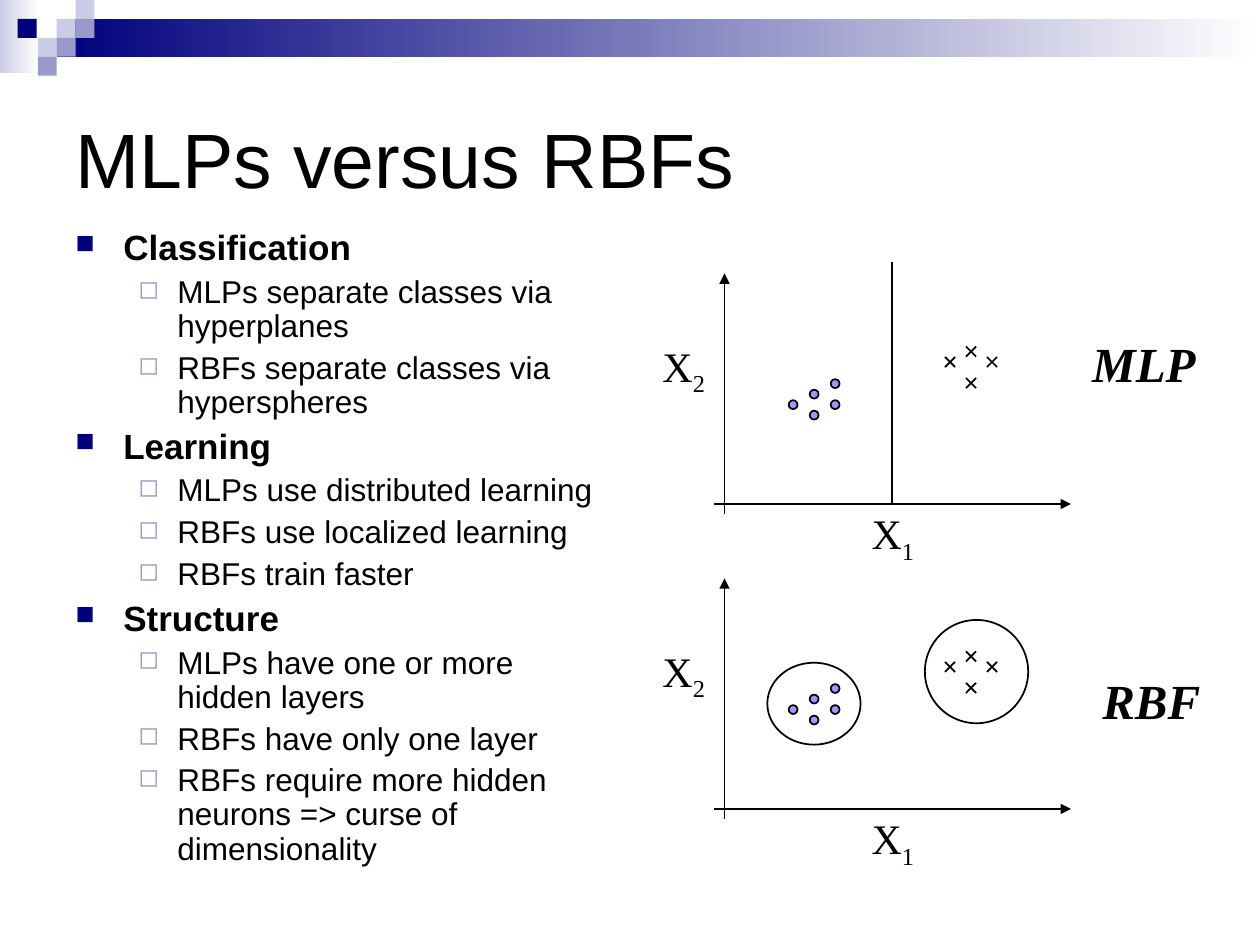
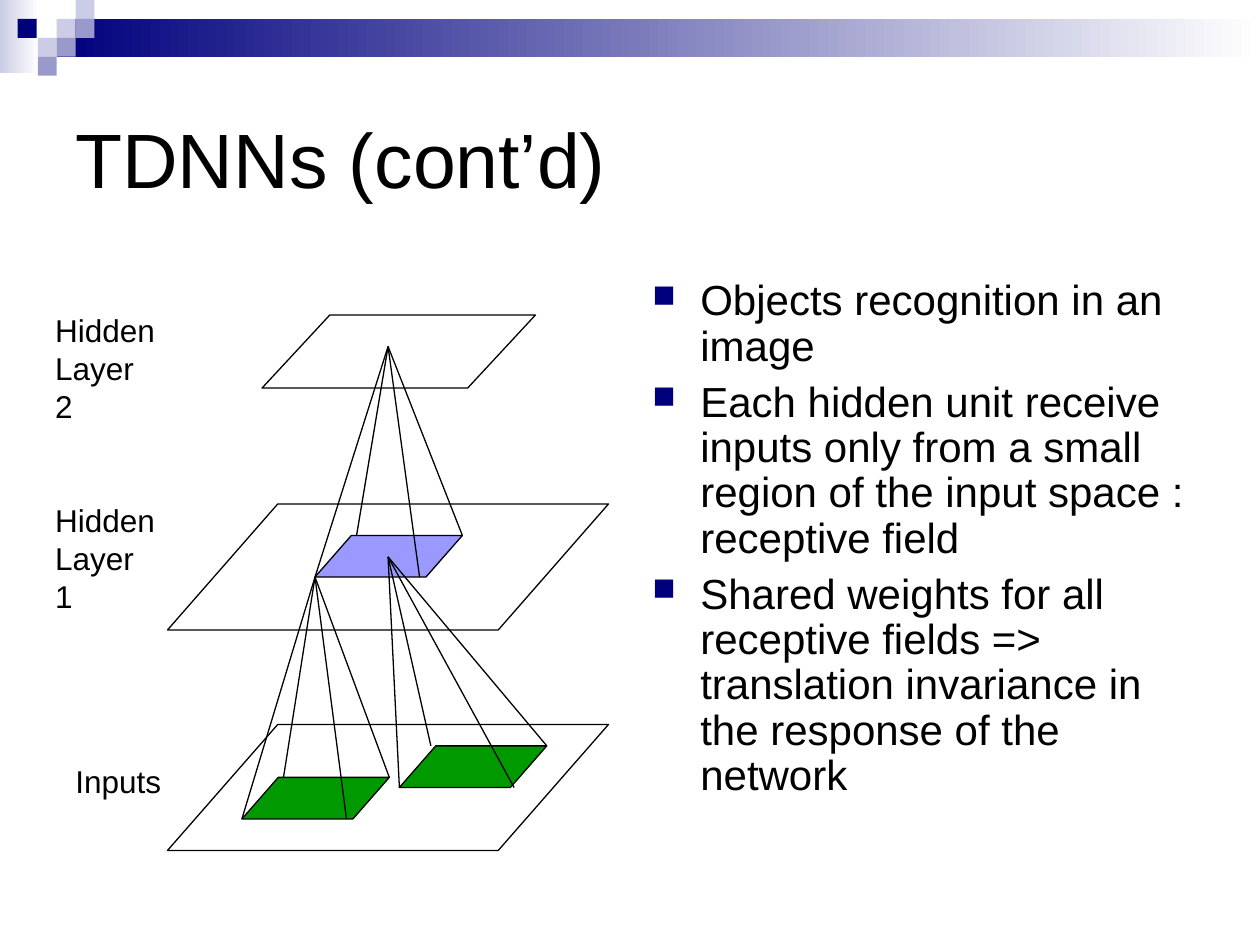
from lxml import etree
from pptx import Presentation
from pptx.dml.color import RGBColor
from pptx.enum.shapes import MSO_CONNECTOR, MSO_SHAPE as Shape
from pptx.enum.text import MSO_ANCHOR as Anchor
from pptx.oxml.ns import qn
from pptx.util import Inches, Pt

COLORS = {
    "black": "000000", "white": "FFFFFF", "navy": "00007D", "lavender": "CCCCE6",
    "violet": "9999CC", "periwinkle": "9999FF", "green": "009900",
}
SANS, SERIF = "Arial", "Times New Roman"
TILE = 0.15
# Bullet per level: character, colour, size in percent, left margin, hanging indent
BULLETS = [("■", "navy", 75, 0.38, 0.38), ("◻", "violet", 80, 0.81, 0.31)]


def color(name):
    return RGBColor.from_string(COLORS[name])


# Basic parts
def add_figure(shapes, kind, left, top, width, height, fill=None, line=None):
    figure = shapes.add_shape(kind, Inches(left), Inches(top), Inches(width), Inches(height))
    figure.shadow.inherit = False
    if fill:
        figure.fill.solid()
        figure.fill.fore_color.rgb = color(fill)
    else:
        figure.fill.background()
    if line:
        figure.line.color.rgb = color("black")
        figure.line.width = Pt(line)
    else:
        figure.line.fill.background()
    return figure


def add_line(shapes, start, end, width, arrow=False):
    ends = [Inches(value) for value in (*start, *end)]
    line = shapes.add_connector(MSO_CONNECTOR.STRAIGHT, *ends)
    line.line.color.rgb = color("black")
    line.line.width = Pt(width)
    if arrow:
        etree.SubElement(line.line._get_or_add_ln(), qn("a:tailEnd"), type="triangle")
    etree.SubElement(line._element.spPr, qn("a:effectLst"))


def add_box(page, left, top, width, height, wrap=True):
    box = page.shapes.add_textbox(Inches(left), Inches(top), Inches(width), Inches(height))
    box.text_frame.word_wrap = wrap
    return box.text_frame


def add_span(para, text, size, font=SANS, bold=False, italic=False):
    span = para.add_run()
    span.text = text
    span.font.name = font
    span.font.size = Pt(size)
    span.font.bold = bold
    span.font.italic = italic
    span.font.color.rgb = color("black")
    return span


def next_para(frame, index):
    return frame.add_paragraph() if index else frame.paragraphs[0]


def add_bullet(para, level):
    char, tint, percent, margin, hanging = BULLETS[level]
    para.level = level
    props = para._p.get_or_add_pPr()
    props.set("marL", str(Inches(margin)))
    props.set("indent", str(-Inches(hanging)))
    tint_holder = etree.SubElement(props, qn("a:buClr"))
    etree.SubElement(tint_holder, qn("a:srgbClr"), val=COLORS[tint])
    etree.SubElement(props, qn("a:buSzPct"), val=str(percent * 1000))
    etree.SubElement(props, qn("a:buChar"), char=char)


# Shared slide frame
def add_band(page, left, top, width, height, tint):
    band = add_figure(page.shapes, Shape.RECTANGLE, left, top, width, height)
    band.fill.gradient()
    band.fill.gradient_angle = 0
    for stop, name in zip(band.fill.gradient_stops, (tint, "white")):
        stop.color.rgb = color(name)


def add_page(deck, title):
    page = deck.slides.add_slide(deck.slide_layouts[6])
    add_band(page, 0, 0, 0.31, 0.58, "lavender")
    add_band(page, 0.45, TILE, 9.55, 2 * TILE, "navy")
    tiles = [(0.45, 1, "lavender"), (0.6, 0, "lavender"), (0.6, 1, "violet"),
             (0.3, 2, "lavender"), (0.14, 1, "navy"), (0.45, 2, "violet"),
             (0.3, 3, "violet")]
    for left, row, tint in tiles:
        add_figure(page.shapes, Shape.RECTANGLE, left, row * TILE, TILE, TILE, tint)
    frame = add_box(page, 0.5, 0.5, 9, 1.5)
    frame.vertical_anchor = Anchor.MIDDLE
    add_span(frame.paragraphs[0], title, 44)
    return page


def add_body(page, left, top, width, height, items, sizes, bold_heads=False):
    """Bulleted list; items are (level, text), sizes are per level."""
    frame = add_box(page, left, top, width, height)
    for index, (level, text) in enumerate(items):
        para = next_para(frame, index)
        add_bullet(para, level)
        para.line_spacing = 0.9
        para.space_before = Pt(sizes[level] / 4 if index else 0)
        add_span(para, text, sizes[level], bold=bold_heads and level == 0)


# Class plots
def add_axis_label(page, left, top, index):
    para = add_box(page, left, top, 0.54, 0.55, wrap=False).paragraphs[0]
    add_span(para, "X", 24, SERIF)
    subscript = add_span(para, index, 24, SERIF)
    subscript.font._element.set("baseline", "-25000")


def add_plot(page, left, top, name, name_left, name_top, name_width):
    axis_x, axis_y = left + 0.75, top + 2
    add_line(page.shapes, (axis_x, axis_y + 0.08), (axis_x, top + 0.17), 1, arrow=True)
    add_line(page.shapes, (axis_x - 0.08, axis_y), (left + 3.5, axis_y), 1, arrow=True)
    # First class: dots
    for column, row in [(0, 2), (1, 1), (2, 0), (1, 3), (2, 2)]:
        add_figure(page.shapes, Shape.OVAL, left + 1.26 + column / 6,
                   top + 1.01 + row / 12, 0.07, 0.07, "periwinkle", 1)
    # Second class: crosses
    for column, row in [(0, 1), (1, 0), (1, 3), (2, 1)]:
        x, y = left + 2.5 + column / 6, top + 0.75 + row / 12
        cross = page.shapes.add_group_shape().shapes
        add_line(cross, (x, y), (x + 0.08, y + 0.08), 1)
        add_line(cross, (x, y + 0.08), (x + 0.08, y), 1)
    add_axis_label(page, left + 0.16, top + 0.65, "2")
    add_axis_label(page, left + 1.82, top + 1.98, "1")
    frame = add_box(page, left + name_left, top + name_top, name_width, 0.56, wrap=False)
    add_span(frame.paragraphs[0], name, 28, SERIF, bold=True, italic=True)


def add_comparison(page, left, top):
    add_plot(page, left, top, "MLP", 3.57, 0.6, 1.02)
    add_line(page.shapes, (left + 2.08, top + 2), (left + 2.08, top + 0.08), 1)
    lower = top + 2.42
    add_plot(page, left, lower, "RBF", 3.65, 0.85, 0.98)
    add_figure(page.shapes, Shape.OVAL, left + 1.09, lower + 0.84, 0.74, 0.65, line=1)
    add_figure(page.shapes, Shape.OVAL, left + 2.34, lower + 0.5, 0.82, 0.82, line=1)


# Layered network
def add_network(page, left, top):
    def add_plane(x, y, width, height, slant=0.875, fill=None):
        plane = add_figure(page.shapes, Shape.PARALLELOGRAM, left + x, top + y,
                           width, height, fill, 0.75)
        plane.adjustments[0] = slant

    add_plane(1.08, 3.5, 3.5, 1)
    add_plane(1.08, 1.75, 3.5, 1)
    add_plane(1.83, 0.25, 2.17, 0.58, 0.928)

    # Receptive fields: left, top, fill, front and back line offsets, unit they feed
    fields = [(1.67, 3.92, "green", 0.83, 0.33, (2.25, 2.33)),
              (2.92, 3.67, "green", 0.91, 0.25, (2.83, 2.17)),
              (2.25, 2, "periwinkle", 0.83, 0.33, (2.83, 0.5))]
    width, height = 1.17, 0.33
    for x, y, fill, *_ in fields:
        add_plane(x, y, width, height, fill=fill)
    for x, y, _, front, back, (unit_x, unit_y) in fields:
        corners = [(0, height), (front, height), (width, 0), (back, 0)]
        for dx, dy in corners:
            add_line(page.shapes, (left + x + dx, top + y + dy),
                     (left + unit_x, top + unit_y), 0.75)

    # Layer names
    labels = [(0.25, 3.75, 0.88, 0.4, ["Inputs"]),
              (0.09, 1.68, 1.03, 0.7, ["Hidden", "Layer 1"]),
              (0.09, 0.17, 1.03, 0.7, ["Hidden", "Layer 2"])]
    for x, y, label_width, label_height, rows in labels:
        frame = add_box(page, left + x, top + y, label_width, label_height, wrap=False)
        for index, text in enumerate(rows):
            add_span(next_para(frame, index), text, 18)


def main():
    deck = Presentation()
    deck.slide_width, deck.slide_height = Inches(10), Inches(7.5)

    page = add_page(deck, "MLPs versus RBFs")
    add_body(page, 0.5, 1.78, 4.42, 5.35, [
        (0, "Classification"),
        (1, "MLPs separate classes via hyperplanes"),
        (1, "RBFs separate classes via hyperspheres"),
        (0, "Learning"),
        (1, "MLPs use distributed learning"),
        (1, "RBFs use localized learning"),
        (1, "RBFs train faster"),
        (0, "Structure"),
        (1, "MLPs have one or more hidden layers"),
        (1, "RBFs have only one layer"),
        (1, "RBFs require more hidden neurons => curse of dimensionality"),
    ], sizes=(20, 18), bold_heads=True)
    add_comparison(page, 5, 2)

    page = add_page(deck, "TDNNs (cont’d)")
    add_body(page, 5.08, 2.17, 4.42, 4.25, [
        (0, "Objects recognition in an image"),
        (0, "Each hidden unit receive inputs only from a small region of the "
            "input space : receptive field"),
        (0, "Shared weights for all receptive fields => translation invariance "
            "in the response of the network"),
    ], sizes=(24,))
    add_network(page, 0.25, 2.25)

    deck.save("out.pptx")


if __name__ == "__main__":
    main()
